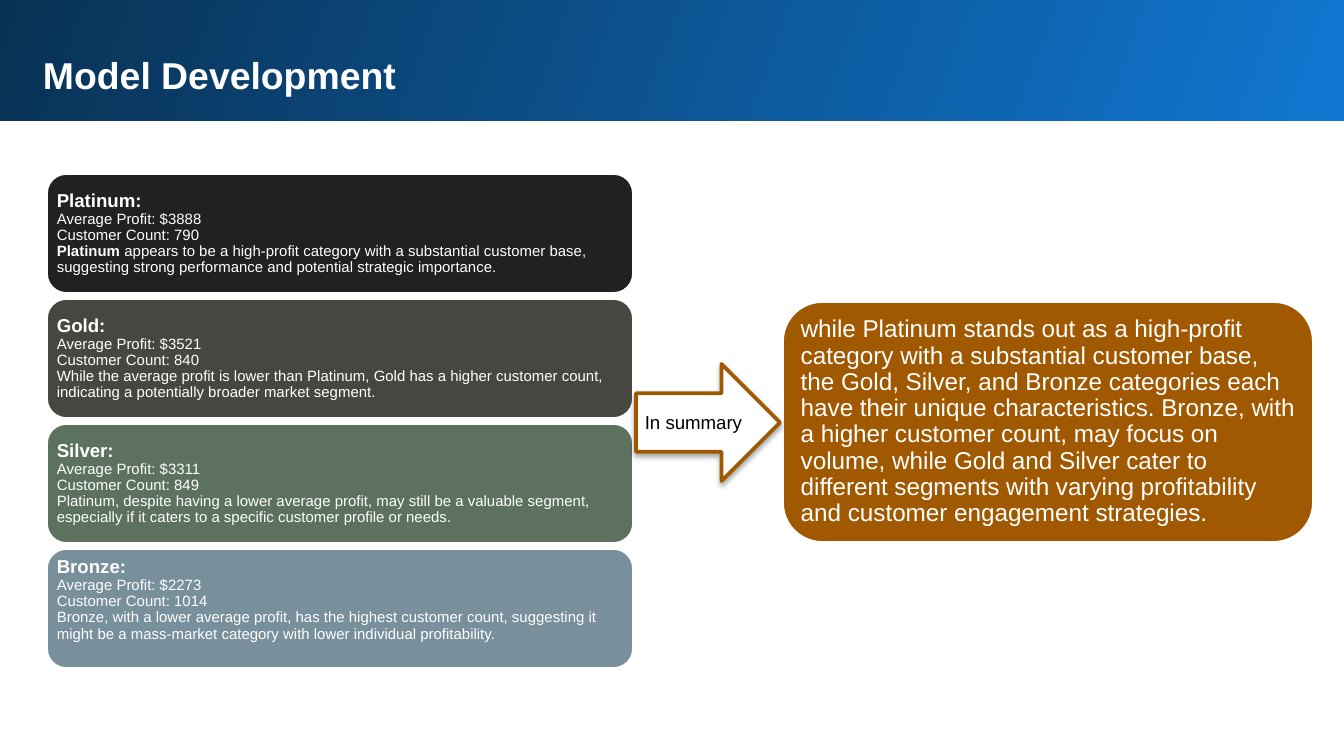
from dataclasses import dataclass

from lxml import etree
from pptx import Presentation
from pptx import util as u
from pptx.dml.color import RGBColor
from pptx.enum import shapes, text
from pptx.oxml import ns

SLIDE_WIDTH, SLIDE_HEIGHT = 1344, 756
EMU_PER_PX = u.Inches(10) / SLIDE_WIDTH


@dataclass(frozen=True)
class Theme:
    font: str = "Arial"
    white: str = "FFFFFF"
    black: str = "000000"
    accent: str = "A05900"
    band_start: str = "1077D2"
    band_end: str = "093153"
    cards: tuple = ("212121", "474741", "5C725F", "78909C")
    title: int = 20
    summary: int = 13
    heading: int = 10
    body: int = 8
    outline: int = 2


THEME = Theme()

CARDS = [
    ("Platinum:", "Average Profit: $3888", "Customer Count: 790", "Platinum",
     " appears to be a high-profit category with a substantial customer base, "
     "suggesting strong performance and potential strategic importance."),
    ("Gold:", "Average Profit: $3521", "Customer Count: 840", "",
     "While the average profit is lower than Platinum, Gold has a higher customer count, "
     "indicating a potentially broader market segment."),
    ("Silver:", "Average Profit: $3311", "Customer Count: 849", "",
     "Platinum, despite having a lower average profit, may still be a valuable segment, "
     "especially if it caters to a specific customer profile or needs."),
    ("Bronze:", "Average Profit: $2273", "Customer Count: 1014", "",
     "Bronze, with a lower average profit, has the highest customer count, "
     "suggesting it might be a mass-market category with lower individual profitability."),
]
SUMMARY = (
    "while Platinum stands out as a high-profit category with a substantial customer base, "
    "the Gold, Silver, and Bronze categories each have their unique characteristics. "
    "Bronze, with a higher customer count, may focus on volume, while Gold and Silver cater "
    "to different segments with varying profitability and customer engagement strategies."
)


def px(value):
    return u.Emu(round(value * EMU_PER_PX))


def color(value):
    return RGBColor.from_string(value)


def add_run(paragraph, words, size, ink=THEME.white, bold=False):
    run = paragraph.add_run()
    run.text = words
    run.font.name = THEME.font
    run.font.size = u.Pt(size)
    run.font.bold = bold
    run.font.color.rgb = color(ink)


def prepare_text(shape, inset, anchor=text.MSO_ANCHOR.MIDDLE,
                 alignment=text.PP_ALIGN.LEFT, spacing=1.0):
    frame = shape.text_frame
    frame.word_wrap = True
    frame.vertical_anchor = anchor
    frame.margin_left = frame.margin_right = px(inset)
    frame.margin_top = frame.margin_bottom = px(inset)
    paragraph = frame.paragraphs[0]
    paragraph.alignment = alignment
    paragraph.line_spacing = spacing
    return paragraph


def add_box(slide, kind, box, fill, line):
    shape = slide.shapes.add_shape(kind, *map(px, box))
    shape.shadow.inherit = False
    shape.fill.solid()
    shape.fill.fore_color.rgb = color(fill)
    shape.line.color.rgb = color(line)
    shape.line.width = u.Pt(THEME.outline)
    return shape


def add_header(slide, box, title):
    left, top, width, height = box
    band = slide.shapes.add_shape(shapes.MSO_SHAPE.RECTANGLE, *map(px, box))
    band.shadow.inherit = False
    band.line.fill.background()
    band.fill.gradient()
    band.fill.gradient_angle = 160
    for stop, value in zip(band.fill.gradient_stops, (THEME.band_start, THEME.band_end)):
        stop.color.rgb = color(value)
    title_box = slide.shapes.add_textbox(px(left + 33), px(top + 42), px(width - 92), px(73))
    paragraph = prepare_text(title_box, 13, text.MSO_ANCHOR.TOP)
    add_run(paragraph, title, THEME.title, bold=True)


def add_cards(slide, box, gap=4):
    left, top, width, height = box
    card_height = (height - gap * (len(CARDS) - 1)) / len(CARDS)
    for index, (card, fill) in enumerate(zip(CARDS, THEME.cards)):
        heading, profit, count, lead, remark = card
        card_top = top + index * (card_height + gap)
        shape = add_box(slide, shapes.MSO_SHAPE.ROUNDED_RECTANGLE,
                        (left, card_top, width, card_height), fill, THEME.white)
        paragraph = prepare_text(shape, 5, spacing=0.9)
        add_run(paragraph, heading, THEME.heading, bold=True)
        for line in (profit, count):
            paragraph.add_line_break()
            add_run(paragraph, line, THEME.body)
        paragraph.add_line_break()
        if lead:
            add_run(paragraph, lead, THEME.body, bold=True)
        add_run(paragraph, remark, THEME.body)
    shape.text_frame.margin_bottom = px(22)


def add_arrow(slide, box, label):
    arrow = add_box(slide, shapes.MSO_SHAPE.RIGHT_ARROW, box, THEME.white, THEME.accent)
    effects = arrow._element.spPr.find(ns.qn("a:effectLst"))
    shadow = etree.SubElement(effects, ns.qn("a:outerShdw"), blurRad=str(u.Pt(3)),
                              dist=str(u.Pt(1.8)), dir="5400000", rotWithShape="0")
    shade = etree.SubElement(shadow, ns.qn("a:srgbClr"), val=THEME.black)
    etree.SubElement(shade, ns.qn("a:alpha"), val="35000")
    paragraph = prepare_text(arrow, 7, alignment=text.PP_ALIGN.CENTER)
    add_run(paragraph, label, THEME.heading, THEME.black)


def add_summary(slide, box, words):
    shape = add_box(slide, shapes.MSO_SHAPE.ROUNDED_RECTANGLE, box, THEME.accent, THEME.white)
    paragraph = prepare_text(shape, 7, spacing=0.9)
    add_run(paragraph, words, THEME.summary)


def main():
    presentation = Presentation()
    presentation.slide_width = px(SLIDE_WIDTH)
    presentation.slide_height = px(SLIDE_HEIGHT)
    slide = presentation.slides.add_slide(presentation.slide_layouts[6])
    add_header(slide, (-3, -3, 1351, 124), "Model Development")
    add_summary(slide, (782, 301, 532, 242), SUMMARY)
    add_cards(slide, (46, 173, 588, 496))
    add_arrow(slide, (636, 364, 144, 117), "In summary")
    presentation.save("out.pptx")


if __name__ == "__main__":
    main()
